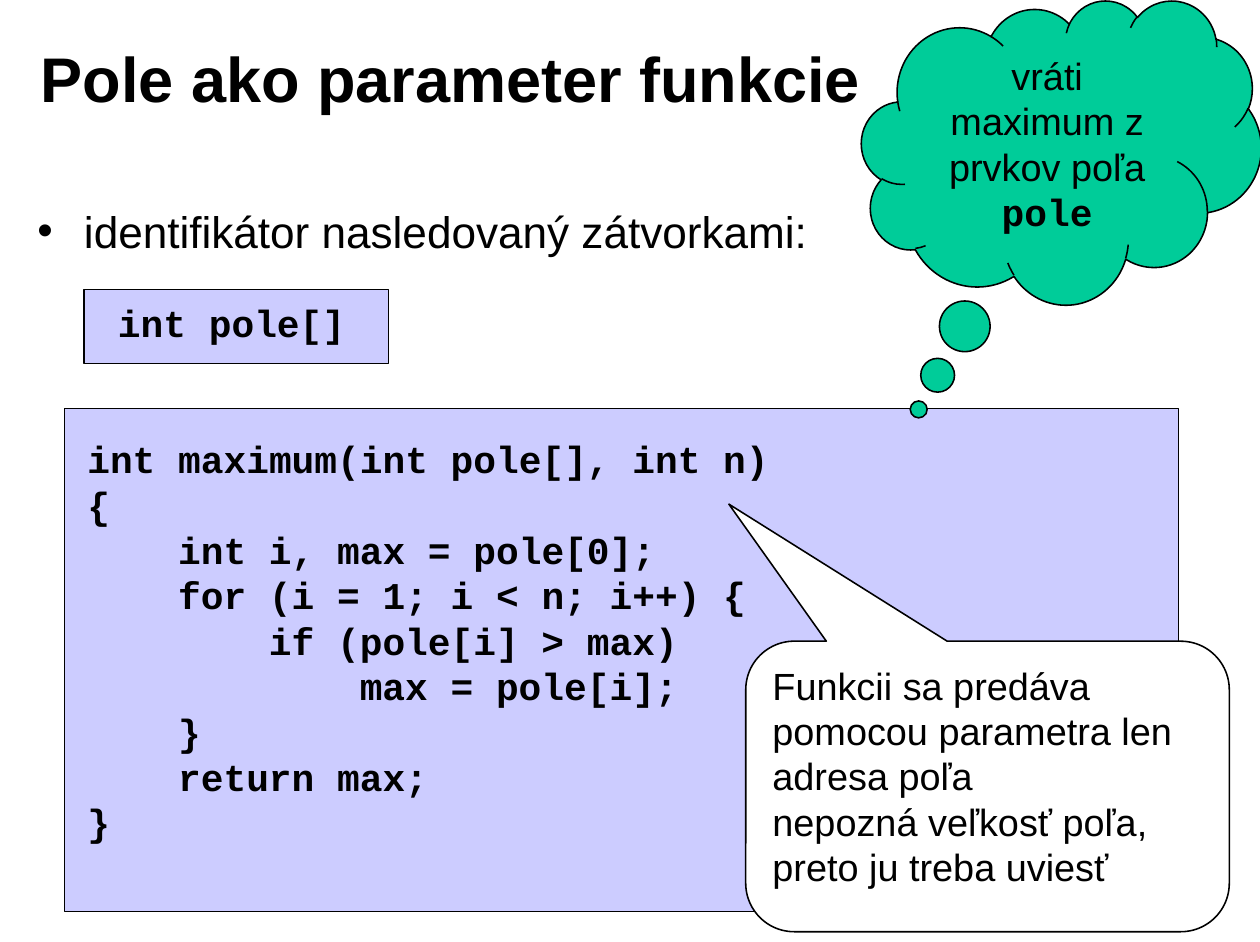
from dataclasses import dataclass

from lxml.etree import SubElement
from pptx import Presentation
from pptx.dml.color import RGBColor
from pptx.enum.shapes import MSO_SHAPE
from pptx.enum.text import MSO_ANCHOR, PP_ALIGN
from pptx.oxml.ns import qn
from pptx.util import Inches, Pt


@dataclass(frozen=True)
class Theme:
    ink: str = "000000"
    paper: str = "FFFFFF"
    code_fill: str = "CCCCFF"
    cloud_fill: str = "00CC99"
    body_font: str = "Arial"
    code_font: str = "Courier New"
    title_size: int = 40
    bullet_size: int = 28
    text_size: int = 24
    code_step: float = 0.8  # width of four code characters, inches


THEME = Theme()

# Each code line is (indent depth, text)
MAXIMUM_CODE = [
    (0, "int maximum(int pole[], int n)"),
    (0, "{"),
    (1, "int i, max = pole[0];"),
    (1, "for (i = 1; i < n; i++) {"),
    (2, "if (pole[i] > max)"),
    (3, "max = pole[i];"),
    (1, "}"),
    (1, "return max;"),
    (0, "}"),
]


def inches(place):
    return [Inches(value) for value in place]


def prepare_frame(box, wrap=True, anchor=MSO_ANCHOR.TOP):
    frame = box.text_frame
    frame.word_wrap = wrap
    frame.vertical_anchor = anchor
    frame.margin_left = frame.margin_right = Inches(0.11)
    frame.margin_top = frame.margin_bottom = Inches(0.06)
    return frame


def add_span(para, text, size=THEME.text_size, font=THEME.body_font, bold=False):
    span = para.add_run()
    span.text = text
    span.font.size = Pt(size)
    span.font.name = font
    span.font.bold = bold
    span.font.color.rgb = RGBColor.from_string(THEME.ink)
    return span


def add_para(frame, text, align=PP_ALIGN.LEFT, indent=0, hanging=0, **span_format):
    """Write text into the empty first paragraph, or into a new one."""
    first = frame.paragraphs[0]
    para = frame.add_paragraph() if first.runs else first
    para.alignment = align
    properties = para._p.get_or_add_pPr()
    properties.set("marL", str(Inches(indent)))
    properties.set("indent", str(Inches(-hanging)))
    add_span(para, text, **span_format)
    return para


def add_title(page, text, place):
    title = page.shapes.title
    title.left, title.top, title.width, title.height = inches(place)
    frame = prepare_frame(title, anchor=MSO_ANCHOR.MIDDLE)
    add_para(frame, text, size=THEME.title_size, bold=True)


def add_bullet(page, text, place):
    box = page.shapes.add_textbox(*inches(place))
    para = add_para(prepare_frame(box), text, indent=0.41, hanging=0.41,
                    size=THEME.bullet_size)
    para.space_before = Pt(2)
    properties = para._p.get_or_add_pPr()
    SubElement(properties, qn("a:buFont"), typeface=THEME.body_font)
    SubElement(properties, qn("a:buChar"), char="•")


def add_panel(page, kind, place, fill, line_width=0.75, adjustments=()):
    panel = page.shapes.add_shape(kind, *inches(place))
    panel.shadow.inherit = False
    panel.fill.solid()
    panel.fill.fore_color.rgb = RGBColor.from_string(fill)
    panel.line.color.rgb = RGBColor.from_string(THEME.ink)
    panel.line.width = Pt(line_width)
    for index, value in enumerate(adjustments):
        panel.adjustments[index] = value
    return panel


def add_code(page, lines, panel_place, text_place):
    add_panel(page, MSO_SHAPE.RECTANGLE, panel_place, THEME.code_fill)
    box = page.shapes.add_textbox(*inches(text_place))
    frame = prepare_frame(box, wrap=False)
    for depth, text in lines:
        add_para(frame, text, indent=depth * THEME.code_step,
                 font=THEME.code_font, bold=True)


def add_callout(page, kind, place, fill, adjustments, texts, align=PP_ALIGN.LEFT):
    callout = add_panel(page, kind, place, fill, 1, adjustments)
    frame = prepare_frame(callout)
    return [add_para(frame, text, align=align) for text in texts]


def main():
    deck = Presentation()
    deck.slide_width, deck.slide_height = Inches(11.1), Inches(8.3)
    page = deck.slides.add_slide(deck.slide_layouts[5])
    page.background.fill.solid()
    page.background.fill.fore_color.rgb = RGBColor.from_string(THEME.paper)

    # Heading and bullet
    add_title(page, "Pole ako parameter funkcie", (0.25, 0.17, 8.91, 1.02))
    add_bullet(page, "identifikátor nasledovaný zátvorkami:",
               (0.22, 1.74, 7.19, 0.84))

    # Declaration and function listing
    add_code(page, [(0, "int pole[]")],
             (0.74, 2.55, 2.68, 0.65), (0.93, 2.58, 2.24, 0.52))
    add_code(page, MAXIMUM_CODE,
             (0.57, 3.6, 9.81, 4.43), (0.66, 3.78, 6.47, 3.75))

    # Remark on the parameters
    add_callout(page, MSO_SHAPE.ROUNDED_RECTANGULAR_CALLOUT,
                (6.57, 5.65, 4.26, 2.56), THEME.paper, (-0.535, -0.972, 0.167),
                ["Funkcii sa predáva pomocou parametra len adresa poľa",
                 "nepozná veľkosť poľa, preto ju treba uviesť"])

    # Thought cloud with the result
    [result] = add_callout(page, MSO_SHAPE.CLOUD_CALLOUT, (7.59, 0, 3.52, 2.68),
                           THEME.cloud_fill, (-0.357, 0.846),
                           ["vráti maximum z prvkov poľa "], PP_ALIGN.CENTER)
    add_span(result, "pole", font=THEME.code_font, bold=True)

    deck.save("out.pptx")


main()
